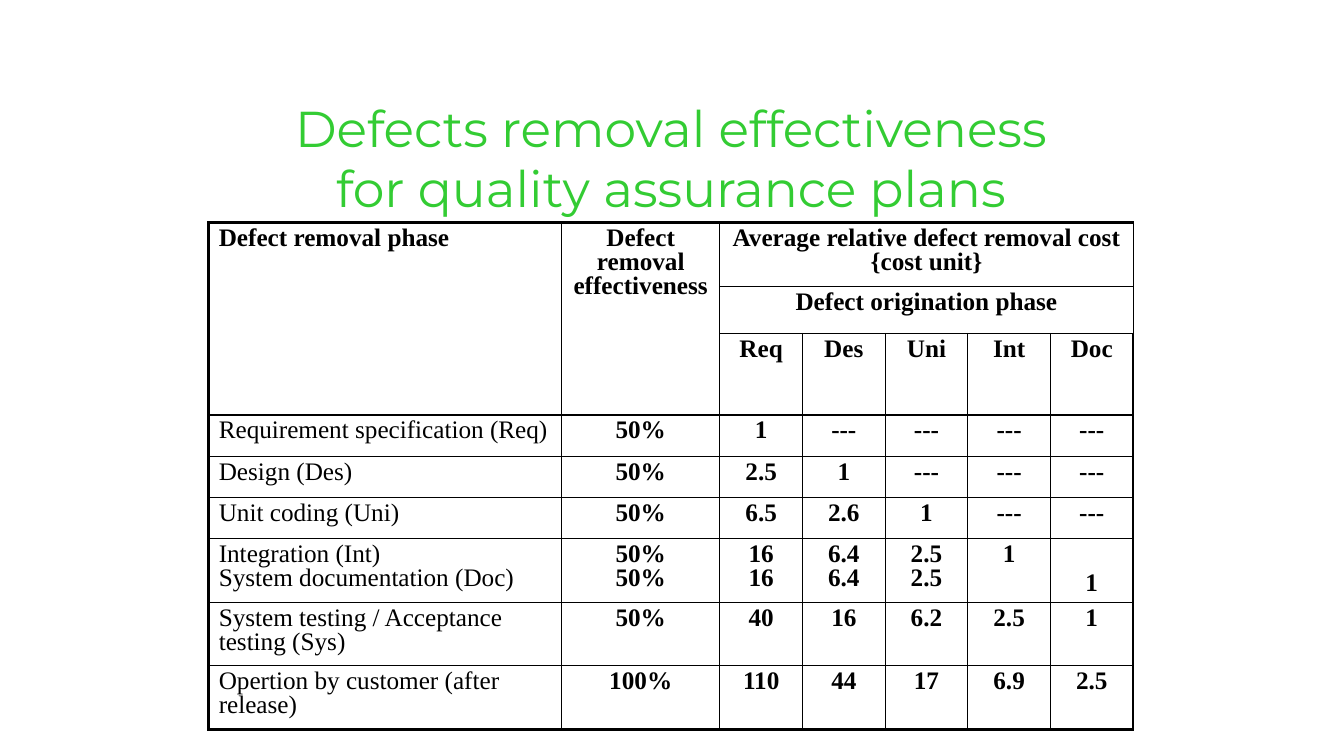
from dataclasses import dataclass

from lxml import etree
from pptx import Presentation, util as u
from pptx.dml.color import RGBColor
from pptx.enum import text
from pptx.oxml import ns


@dataclass
class Theme:
    """Colours, fonts and sizes."""
    title: str = "33CC33"
    ink: str = "000000"
    head: str = "Montserrat"
    body: str = "Times New Roman"
    big: float = 36
    small: float = 18
    thin: float = 1
    thick: float = 2.25
    lead: float = 0.85


COLS = [3.5, 1.57] + [0.82] * 5
ROWS = [0.63, 0.47] + [0.41] * 4 + [0.63] * 3
SPANS = [(0, 0, 2, 0), (0, 1, 2, 1), (0, 2, 0, 6), (1, 2, 1, 6)]
HEADS = 3
DATA = [
    ["Defect removal phase", "Defect removal effectiveness",
     "Average relative defect removal cost {cost unit}"],
    ["", "", "Defect origination phase"],
    ["", "", "Req", "Des", "Uni", "Int", "Doc"],
    ["Requirement specification (Req)", "50%", "1", "---", "---", "---", "---"],
    ["Design (Des)", "50%", "2.5", "1", "---", "---", "---"],
    ["Unit coding (Uni)", "50%", "6.5", "2.6", "1", "---", "---"],
    ["Integration (Int)\nSystem documentation (Doc)", "50%\n50%", "16\n16",
     "6.4\n6.4", "2.5\n2.5", "1", "1"],
    ["System testing / Acceptance testing (Sys)", "50%", "40", "16", "6.2",
     "2.5", "1"],
    ["Opertion by customer (after release)", "100%", "110", "44", "17",
     "6.9", "2.5"],
]


class Deck:
    """Builds elements on the current slide in one style."""

    def __init__(self, theme):
        self.theme = theme
        self.prs = Presentation()
        self.prs.slide_width = u.Inches(13.33)
        self.prs.slide_height = u.Inches(7.5)
        self.slide = self.prs.slides.add_slide(self.prs.slide_layouts[5])

    def label(self, frame, words, align, color, lead, **font):
        """Fill a text frame and format its paragraphs."""
        frame.text = words
        for para in frame.paragraphs:
            para.alignment = align
            para.line_spacing = lead
            for run in para.runs:
                run.font.color.rgb = RGBColor.from_string(color)
                for key, val in font.items():
                    setattr(run.font, key, val)

    def title(self, words, x, y, w, h):
        """Place and format the title."""
        shape = self.slide.shapes.title
        box = dict(left=x, top=y, width=w, height=h)
        for key, val in box.items():
            setattr(shape, key, u.Inches(val))
        frame = shape.text_frame
        look = dict(word_wrap=False, auto_size=text.MSO_AUTO_SIZE.NONE,
                    vertical_anchor=text.MSO_ANCHOR.TOP)
        for key, val in look.items():
            setattr(frame, key, val)
        t = self.theme
        self.label(frame, words, text.PP_ALIGN.CENTER, t.title, 1.0,
                   name=t.head, size=u.Pt(t.big))

    def border(self, cell, edges):
        """Draw the four cell borders, thick on the outer edges."""
        props = cell._tc.get_or_add_tcPr()
        for side in "LRTB":
            width = self.theme.thick if side in edges else self.theme.thin
            line = etree.SubElement(props, ns.qn(f"a:ln{side}"),
                                    w=str(u.Pt(width)))
            fill = etree.SubElement(line, ns.qn("a:solidFill"))
            etree.SubElement(fill, ns.qn("a:srgbClr"), val=self.theme.ink)

    def table(self, data, cols, rows, spans, heads, x, y):
        """Add a bordered table with merged heading cells."""
        t = self.theme
        nrow, ncol = len(rows), len(cols)
        grid = self.slide.shapes.add_table(
            nrow, ncol, u.Inches(x), u.Inches(y),
            u.Inches(sum(cols)), u.Inches(sum(rows))).table
        grid.first_row = grid.horz_banding = False
        for col, width in zip(grid.columns, cols):
            col.width = u.Inches(width)
        for row, height in zip(grid.rows, rows):
            row.height = u.Inches(height)
        for top, left, low, right in spans:
            grid.cell(top, left).merge(grid.cell(low, right))
        for r in range(nrow):
            for c in range(ncol):
                cell = grid.cell(r, c)
                outer = {"L": c == 0, "R": c == ncol - 1,
                         "T": r == 0, "B": r == nrow - 1}
                self.border(cell, [s for s, on in outer.items() if on])
                cell.fill.background()
                words = data[r][c] if c < len(data[r]) else ""
                if words:
                    align = text.PP_ALIGN.CENTER if c else text.PP_ALIGN.LEFT
                    self.label(cell.text_frame, words, align, t.ink, t.lead,
                               name=t.body, size=u.Pt(t.small),
                               bold=c > 0 or r < heads)
        return grid


def main():
    """Build and save the slide."""
    deck = Deck(Theme())
    deck.title("Defects removal effectiveness\nfor quality assurance plans",
               2.5, 0.91, 8.31, 1.18)
    grid = deck.table(DATA, COLS, ROWS, SPANS, HEADS, 2.07, 2.21)
    grid.cell(6, 6).margin_top = u.Inches(0.33)
    deck.prs.save("out.pptx")


if __name__ == "__main__":
    main()
